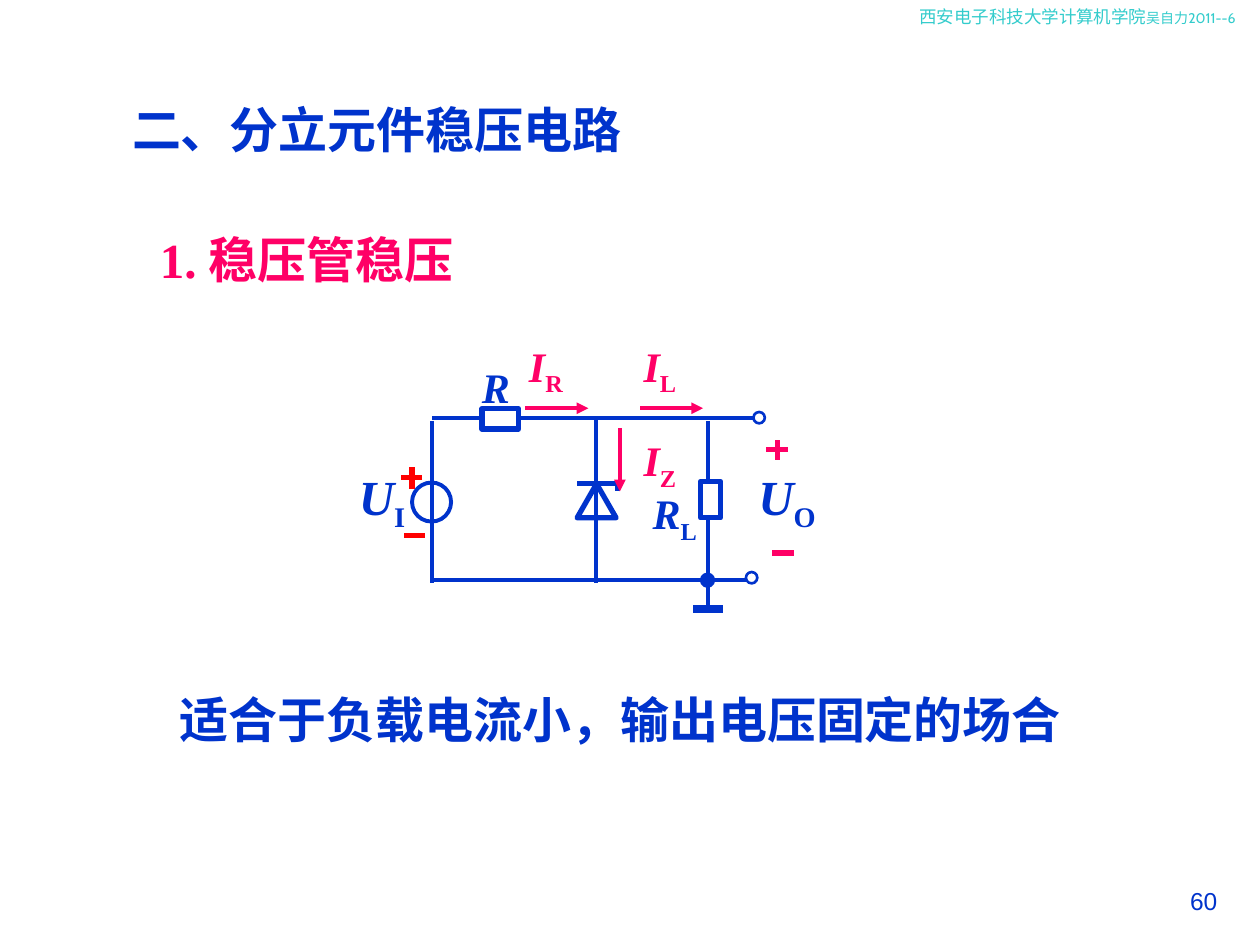
from dataclasses import dataclass

from lxml import etree
from pptx import Presentation
from pptx.dml.color import RGBColor
from pptx.enum.dml import MSO_LINE
from pptx.enum.shapes import MSO_CONNECTOR, MSO_SHAPE
from pptx.enum.text import MSO_AUTO_SIZE, PP_ALIGN
from pptx.oxml.ns import qn
from pptx.util import Pt

PX = 9144
BLUE = RGBColor(0x00, 0x33, 0xCC)
PINK = RGBColor(0xFF, 0x00, 0x66)
RED = RGBColor(0xFF, 0x00, 0x00)
TEAL = RGBColor(0x33, 0xCC, 0xCC)
WHITE = RGBColor(0xFF, 0xFF, 0xFF)
SERIF = "Times New Roman"
CJK = "Noto Sans CJK SC"
STRAIGHT = MSO_CONNECTOR.STRAIGHT
SOLID = MSO_LINE.SOLID
RECT, OVAL, TRIANGLE = MSO_SHAPE.RECTANGLE, MSO_SHAPE.OVAL, MSO_SHAPE.ISOSCELES_TRIANGLE
LEFT, CENTER, RIGHT = PP_ALIGN.LEFT, PP_ALIGN.CENTER, PP_ALIGN.RIGHT
FIT, FIXED = MSO_AUTO_SIZE.SHAPE_TO_FIT_TEXT, MSO_AUTO_SIZE.NONE


@dataclass
class Wire:
    x1: int
    y1: int
    x2: int
    y2: int
    color: RGBColor = BLUE
    weight: float = 2.25
    arrow: bool = False


@dataclass
class Part:
    kind: int
    x: int
    y: int
    w: int
    h: int
    weight: float
    fill: RGBColor | None = None
    rotation: int = 0


@dataclass
class Symbol:
    name: str
    sub: str
    x: int
    y: int
    w: int
    h: int
    size: int = 24
    color: RGBColor = BLUE
    align: int = LEFT
    wrap: bool = True


@dataclass
class Caption:
    text: str
    x: int
    y: int
    w: int
    h: int
    size: int = 28
    font: str = SERIF
    color: RGBColor = BLUE
    bold: bool = True
    align: int = LEFT
    fit: int = FIT


WIRES = [
    Wire(343, 334, 343, 463),
    Wire(473, 332, 473, 463),
    Wire(343, 332, 598, 332),
    Wire(562, 334, 562, 481),
    Wire(342, 460, 597, 460),
    Wire(458, 384, 489, 384, weight=3),
    Wire(490, 382, 490, 390, weight=3),
    Wire(550, 483, 574, 483, weight=4.5),
]
PARTS = [
    Part(TRIANGLE, 458, 384, 31, 27, 3),
    Part(RECT, 389, 318, 16, 29, 3, WHITE, 90),
    Part(RECT, 556, 382, 16, 29, 3, WHITE),
    Part(OVAL, 327, 383, 31, 31, 2.25),
    Part(OVAL, 598, 327, 9, 9, 1.5),
    Part(OVAL, 557, 456, 9, 9, 2.25, BLUE),
    Part(OVAL, 592, 454, 9, 9, 1.5, WHITE),
]
MARKS = [
    Wire(327, 388, 327, 371, RED, 3),
    Wire(335, 379, 318, 379, RED, 3),
    Wire(337, 425, 321, 425, RED, 3),
    Wire(617, 365, 617, 349, PINK, 3),
    Wire(625, 357, 608, 357, PINK, 3),
    Wire(630, 439, 613, 439, PINK, 3),
    Wire(417, 324, 467, 324, PINK, arrow=True),
    Wire(508, 324, 558, 324, PINK, arrow=True),
    Wire(492, 340, 492, 390, PINK, arrow=True),
]
SYMBOLS = [
    Symbol("U", "I", 275, 365, 92, 63, 28),
    Symbol("U", "O", 592, 365, 92, 63, 28),
    Symbol("R", "", 358, 282, 71, 50, align=CENTER),
    Symbol("R", "L", 500, 382, 71, 56, align=CENTER),
    Symbol("I", "R", 410, 265, 47, 56, color=PINK, wrap=False),
    Symbol("I", "L", 501, 265, 46, 56, color=PINK, wrap=False),
    Symbol("I", "Z", 501, 340, 46, 56, color=PINK, wrap=False),
]
CAPTIONS = [
    Caption("二、分立元件稳压电路", 95, 74, 453, 57, font=CJK),
    Caption("1. 稳压管稳压", 117, 177, 325, 57, color=PINK),
    Caption("适合于负载电流小，输出电压固定的场合", 133, 542, 775, 57),
    Caption("60", 917, 698, 59, 44, 14, "Arial", bold=False, align=RIGHT, fit=FIXED),
]


def draw_wire(s, wire: Wire) -> None:
    ends = (v * PX for v in (wire.x1, wire.y1, wire.x2, wire.y2))
    line = s.shapes.add_connector(STRAIGHT, *ends)
    line.line.color.rgb = wire.color
    line.line.width = Pt(wire.weight)
    line.line.dash_style = SOLID
    props = line._element.spPr
    if wire.arrow:
        etree.SubElement(props.find(qn("a:ln")), qn("a:tailEnd"), type="triangle")
    etree.SubElement(props, qn("a:effectLst"))


def draw_part(s, part: Part) -> None:
    sp = s.shapes.add_shape(part.kind, *(v * PX for v in (part.x, part.y, part.w, part.h)))
    sp.shadow.inherit = False
    sp.rotation = part.rotation
    if part.fill is None:
        sp.fill.background()
    else:
        sp.fill.solid()
        sp.fill.fore_color.rgb = part.fill
    sp.line.color.rgb = BLUE
    sp.line.width = Pt(part.weight)


def add_box(s, x: int, y: int, w: int, h: int, align: int, wrap: bool = True, fit: int = FIT):
    tf = s.shapes.add_textbox(x * PX, y * PX, w * PX, h * PX).text_frame
    tf.word_wrap = wrap
    tf.auto_size = fit
    p = tf.paragraphs[0]
    p.alignment = align
    return p


def add_run(p, text: str, size: int, font: str, color: RGBColor, bold: bool):
    r = p.add_run()
    r.text = text
    r.font.size = Pt(size)
    r.font.name = font
    r.font.bold = bold
    r.font.color.rgb = color
    etree.SubElement(r._r.get_or_add_rPr(), qn("a:ea"), typeface=CJK)
    return r


def draw_symbol(s, symbol: Symbol) -> None:
    p = add_box(s, symbol.x, symbol.y, symbol.w, symbol.h, symbol.align, symbol.wrap)
    r = add_run(p, symbol.name, symbol.size, SERIF, symbol.color, True)
    r.font.italic = True
    if symbol.sub:
        r = add_run(p, symbol.sub, symbol.size, SERIF, symbol.color, True)
        r._r.get_or_add_rPr().set("baseline", "-25000")


def draw_caption(s, c: Caption) -> None:
    p = add_box(s, c.x, c.y, c.w, c.h, c.align, fit=c.fit)
    add_run(p, c.text, c.size, c.font, c.color, c.bold)


def draw_header(s) -> None:
    p = add_box(s, 720, 0, 280, 27, LEFT)
    add_run(p, "西安电子科技大学计算机学院", 10, "Cabin", TEAL, False)
    add_run(p, "吴自力2011--6", 8, "Cabin", TEAL, False)


def main() -> None:
    prs = Presentation()
    prs.slide_width, prs.slide_height = 1000 * PX, 750 * PX
    s = prs.slides.add_slide(prs.slide_layouts[6])
    draw_header(s)
    for draw, items in (
        (draw_wire, WIRES),
        (draw_part, PARTS),
        (draw_wire, MARKS),
        (draw_symbol, SYMBOLS),
        (draw_caption, CAPTIONS),
    ):
        for item in items:
            draw(s, item)
    prs.save("out.pptx")


if __name__ == "__main__":
    main()
